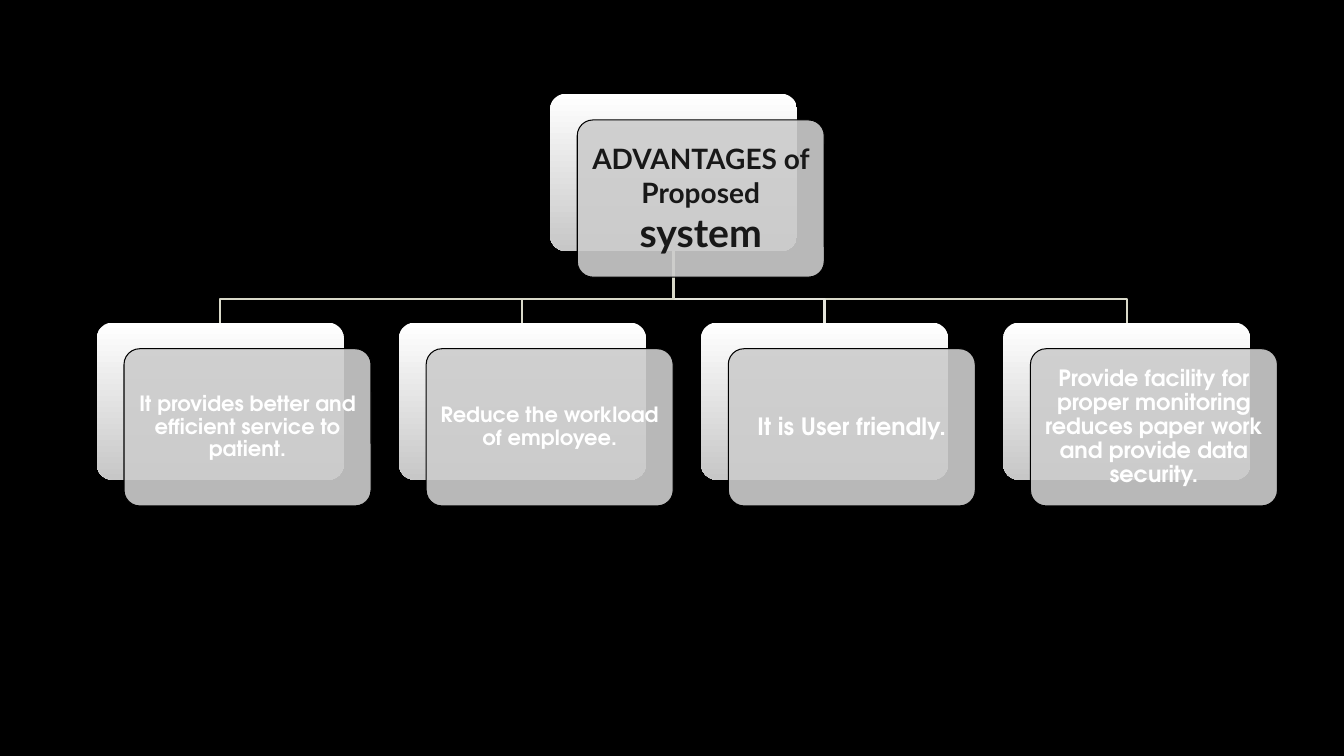
import pptx
import pptx.dml.color
import pptx.enum.dml
import pptx.enum.shapes
import pptx.enum.text
import pptx.oxml
import pptx.oxml.ns
import pptx.util

HEADING = [("ADVANTAGES of Proposed ", 20), ("system", 28)]
ADVANTAGES = [
    ("It provides better and efficient service to patient.", 15, 0.06),
    ("Reduce the workload of employee.", 15, 0.06),
    ("It is User friendly.", 17, 0.07),
    ("Provide facility for proper monitoring reduces paper work and provide data security.", 16, 0.07),
]
LINK_COLOURS = ["D9D9C9", "D9D9C9", "E5E5DB", "D9D9C9"]

SLIDE_WIDTH, SLIDE_HEIGHT = 13.33, 7.5
CARD_WIDTH, CARD_HEIGHT = 2.45, 1.56
SHIFT_X, SHIFT_Y = 0.27, 0.26
TEXT_MARGIN = 0.045
FIRST_LEFT, LAST_LEFT = 0.96, 9.95
ROOT_TOP, CHILD_TOP = 0.93, 3.2
BEND_Y = 2.97
COLUMN_STEP = (LAST_LEFT - FIRST_LEFT) / (len(ADVANTAGES) - 1)
ROOT_LEFT = (FIRST_LEFT + LAST_LEFT) / 2

inch = pptx.util.Inches


def colour(value):
    return pptx.dml.color.RGBColor.from_string(value)


def add_card(page, left, top):
    rounded = pptx.enum.shapes.MSO_SHAPE.ROUNDED_RECTANGLE
    back, front = [
        page.shapes.add_shape(rounded, inch(left + shift_x), inch(top + shift_y),
                              inch(CARD_WIDTH), inch(CARD_HEIGHT))
        for shift_x, shift_y in [(0, 0), (SHIFT_X, SHIFT_Y)]
    ]
    for card in (back, front):
        card.adjustments[0] = 0.1
        card.shadow.inherit = False
    back.line.fill.background()
    back.fill.gradient()
    back.fill.gradient_angle = 270
    for stop, value in zip(back.fill.gradient_stops, ["FFFFFF", "C7C7C7"]):
        stop.color.rgb = colour(value)
    front.fill.solid()
    front.fill.fore_color.rgb = colour("CCCCCC")
    shade = front._element.spPr.find(".//" + pptx.oxml.ns.qn("a:srgbClr"))
    alpha = pptx.oxml.parse_xml("<a:alpha %s val='90000'/>" % pptx.oxml.ns.nsdecls("a"))
    shade.append(alpha)
    front.line.color.rgb = colour("000000")
    front.line.width = pptx.util.Pt(0.75)
    return front


def write(box, spans, font_name, text_colour, inset, spacing):
    frame = box.text_frame
    frame.word_wrap = True
    frame.auto_size = pptx.enum.text.MSO_AUTO_SIZE.NONE
    frame.vertical_anchor = pptx.enum.text.MSO_ANCHOR.MIDDLE
    frame.margin_left = frame.margin_right = inch(inset)
    frame.margin_top = frame.margin_bottom = inch(inset)
    para = frame.paragraphs[0]
    para.alignment = pptx.enum.text.PP_ALIGN.CENTER
    para.line_spacing = spacing
    para.font.name = font_name
    para.font.bold = True
    para.font.color.rgb = colour(text_colour)
    for text, size in spans:
        span = para.add_run()
        span.text = text
        span.font.size = pptx.util.Pt(size)


def add_link(page, child_left, link_colour):
    start_x, end_x = ROOT_LEFT + CARD_WIDTH / 2, child_left + CARD_WIDTH / 2
    start_y = ROOT_TOP + CARD_HEIGHT
    points = [(start_x, BEND_Y), (end_x, BEND_Y), (end_x, CHILD_TOP)]
    builder = page.shapes.build_freeform(inch(start_x), inch(start_y))
    builder.add_line_segments([(inch(x), inch(y)) for x, y in points], close=False)
    link = builder.convert_to_shape()
    link.shadow.inherit = False
    link.fill.background()
    link.line.color.rgb = colour(link_colour)
    link.line.width = pptx.util.Pt(1.5)


def main():
    deck = pptx.Presentation()
    deck.slide_width, deck.slide_height = inch(SLIDE_WIDTH), inch(SLIDE_HEIGHT)
    page = deck.slides.add_slide(deck.slide_layouts[5])
    page.background.fill.solid()
    page.background.fill.fore_color.rgb = colour("000000")

    lefts = [FIRST_LEFT + column * COLUMN_STEP for column in range(len(ADVANTAGES))]
    for left, link_colour in reversed(list(zip(lefts, LINK_COLOURS))):
        add_link(page, left, link_colour)

    root = add_card(page, ROOT_LEFT, ROOT_TOP)
    title = page.shapes.title
    title.left, title.top = root.left + inch(TEXT_MARGIN), root.top + inch(TEXT_MARGIN)
    title.width = root.width - 2 * inch(TEXT_MARGIN)
    title.height = root.height - 2 * inch(TEXT_MARGIN)
    root._element.addnext(title._element)
    write(title, HEADING, "Lato", "181818", 0.08, 1.0)

    for left, (text, size, inset) in zip(lefts, ADVANTAGES):
        card = add_card(page, left, CHILD_TOP)
        write(card, [(text, size)], "TeX Gyre Adventor", "FFFFFF", inset, 0.9)

    deck.save("out.pptx")


if __name__ == "__main__":
    main()
